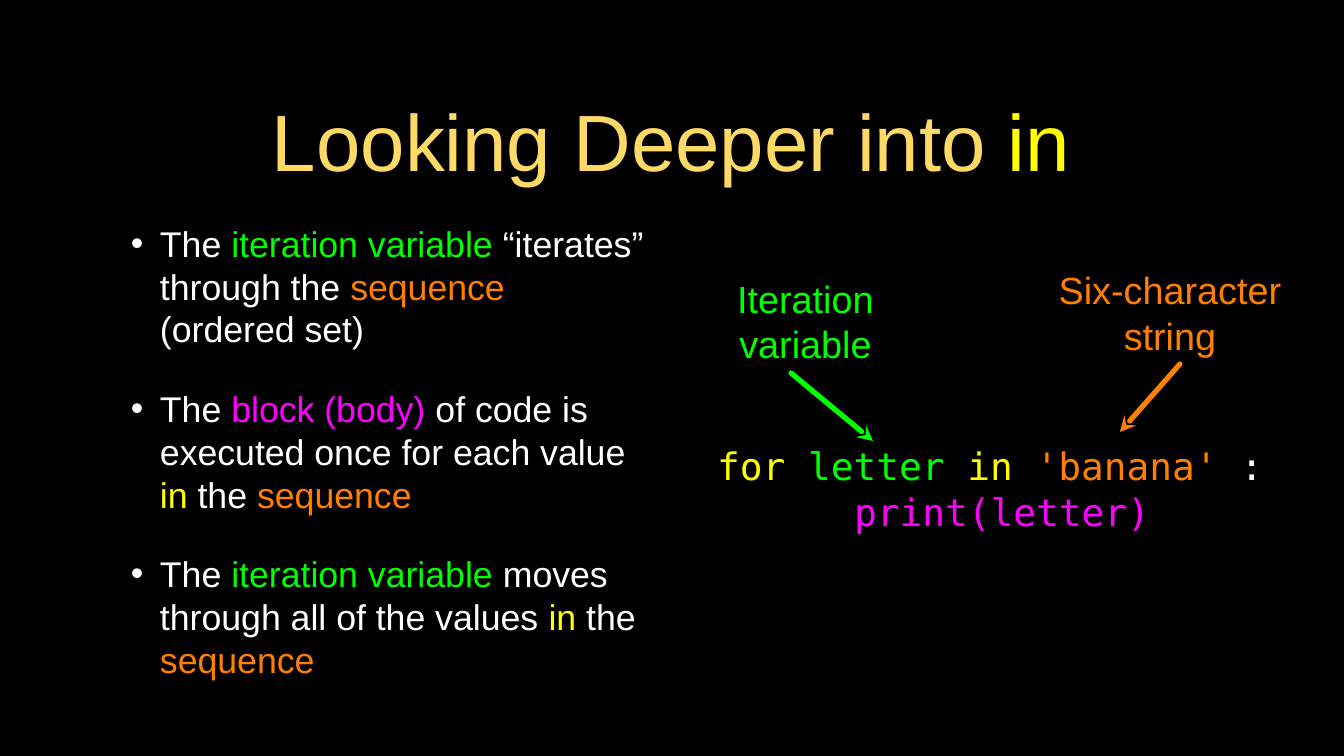
from dataclasses import dataclass

from lxml.etree import SubElement
from pptx import Presentation
from pptx.dml.color import RGBColor
from pptx.enum.shapes import MSO_CONNECTOR as Connector
from pptx.enum.text import MSO_ANCHOR as Anchor, MSO_AUTO_SIZE as AutoSize, PP_ALIGN as Align
from pptx.oxml.ns import qn
from pptx.util import Pt

SCALE = 914400 / 75.6  # EMU in one pixel


@dataclass(frozen=True)
class Theme:
    background: str = "000000"
    plain: str = "FFFFFF"
    title: str = "FFD966"
    keyword: str = "FFFF00"
    variable: str = "00FF00"
    sequence: str = "FF7F00"
    block: str = "FF00FF"
    font: str = "Arial"
    code_font: str = "DejaVu Sans Mono"
    title_size: int = 76
    body_size: int = 34
    label_size: int = 36
    line_height: float = 1.2
    arrow_width: int = 5


theme = Theme()


def px(length):
    return round(length * SCALE)


def color(name):
    return RGBColor.from_string(getattr(theme, name))


def apply(target, formats):
    for name, value in formats.items():
        setattr(target, name, value)


def set_frame(frame, inset=0):
    margins = {f"margin_{side}": px(inset) for side in ("left", "top", "right", "bottom")}
    apply(frame, {"word_wrap": True, "auto_size": AutoSize.NONE,
                  "vertical_anchor": Anchor.MIDDLE, **margins})


def write(para, spans, size, font=theme.font, **formats):
    """Fill a paragraph with (text, colour name) spans."""
    apply(para, formats)
    for text, color_name in spans:
        span = para.add_run()
        span.text = text
        apply(span.font, {"name": font, "size": Pt(size)})
        span.font.color.rgb = color(color_name)


def add_text(page, box, inset=0):
    frame = page.shapes.add_textbox(*map(px, box)).text_frame
    set_frame(frame, inset)
    return frame


def next_para(frame, index):
    return frame.add_paragraph() if index else frame.paragraphs[0]


def indent(para, left, first=0):
    props = para._p.get_or_add_pPr()
    props.set("marL", str(px(left)))
    props.set("indent", str(px(first)))
    return props


def add_bullet(para):
    props = indent(para, 62, -29)
    bullet_color = SubElement(props, qn("a:buClr"))
    SubElement(bullet_color, qn("a:srgbClr"), val=theme.plain)
    SubElement(props, qn("a:buFont"), typeface=theme.font)
    SubElement(props, qn("a:buChar"), char="•")


def add_title(page, box, spans):
    title = page.shapes.title
    apply(title, dict(zip(("left", "top", "width", "height"), map(px, box))))
    set_frame(title.text_frame, 3)
    write(title.text_frame.paragraphs[0], spans, theme.title_size, alignment=Align.CENTER)


def add_points(page, box, points):
    frame = add_text(page, box, 3)
    for index, spans in enumerate(points):
        para = next_para(frame, index)
        write(para, spans, theme.body_size, alignment=Align.LEFT,
              line_spacing=Pt(theme.body_size * theme.line_height),
              space_before=Pt(35 if index else 0))
        add_bullet(para)


def add_label(page, box, text, color_name):
    write(add_text(page, box).paragraphs[0], [(text, color_name)], theme.label_size,
          alignment=Align.CENTER, line_spacing=Pt(theme.label_size * theme.line_height))


def add_arrow(page, tip, tail, color_name):
    arrow = page.shapes.add_connector(Connector.STRAIGHT, *map(px, tip + tail))
    arrow.line.color.rgb = color(color_name)
    arrow.line.width = Pt(theme.arrow_width)
    outline = arrow.line._get_or_add_ln()
    outline.set("cap", "rnd")
    SubElement(outline, qn("a:headEnd"), type="stealth")
    SubElement(arrow._element.spPr, qn("a:effectLst"))


def add_code_example(page, box):
    """Code with two labels above it, placed from the corner of the box."""
    left, top, width, height = box

    # Code lines, each with its indent
    frame = add_text(page, (left + 46, top + 164, width - 59, height - 164))
    code = [
        (0, [("for ", "keyword"), ("letter ", "variable"), ("in ", "keyword"),
             ("'banana' ", "sequence"), (":", "plain")]),
        (137, [("print(letter)", "block")]),
    ]
    for index, (left_indent, spans) in enumerate(code):
        para = next_para(frame, index)
        write(para, spans, theme.label_size, theme.code_font, alignment=Align.LEFT,
              line_spacing=Pt(theme.label_size * theme.line_height))
        indent(para, left_indent)

    # Labels and their arrows
    labels = [
        ("Iteration variable", "variable", (0, 269, 106), (202, 173), (120, 105)),
        ("Six-character string", "sequence", (344, 310, 89), (449, 164), (509, 96)),
    ]
    for text, color_name, (shift, label_width, label_height), tip, tail in labels:
        add_label(page, (left + shift, top, label_width, label_height), text, color_name)
        add_arrow(page, (left + tip[0], top + tip[1]),
                  (left + tail[0], top + tail[1]), color_name)


def build():
    deck = Presentation()
    apply(deck, {"slide_width": px(1344), "slide_height": px(756)})
    page = deck.slides.add_slide(deck.slide_layouts[5])
    page.background.fill.solid()
    page.background.fill.fore_color.rgb = color("background")

    add_title(page, (95, 69, 1152, 141),
              [("Looking Deeper into ", "title"), ("in", "keyword")])
    add_points(page, (95, 215, 553, 472), [
        [("The ", "plain"), ("iteration variable ", "variable"),
         ("“iterates” through the ", "plain"), ("sequence ", "sequence"),
         ("(ordered set)", "plain")],
        [("The ", "plain"), ("block (body)", "block"),
         (" of code is executed once for each value ", "plain"), ("in", "keyword"),
         (" the ", "plain"), ("sequence", "sequence")],
        [("The ", "plain"), ("iteration variable ", "variable"),
         ("moves through all of the values ", "plain"), ("in", "keyword"),
         (" the ", "plain"), ("sequence", "sequence")],
    ])
    add_code_example(page, (671, 268, 654, 277))
    deck.save("out.pptx")


build()
